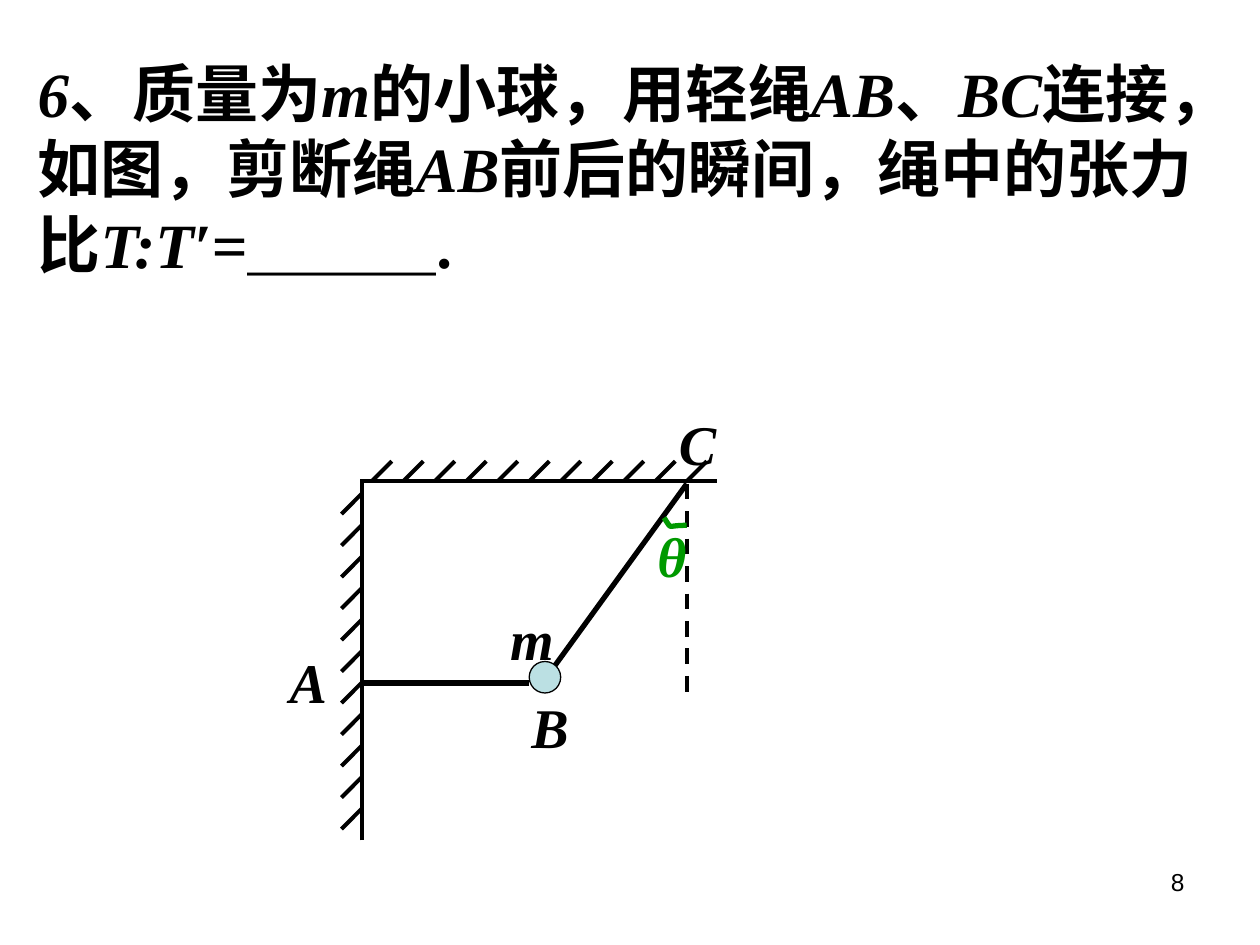
from lxml import etree
from pptx import Presentation
from pptx import util as u
from pptx.dml.color import RGBColor
from pptx.enum import dml, shapes, text
from pptx.oxml.ns import qn

BLACK = RGBColor(0x00, 0x00, 0x00)
GREEN = RGBColor(0x00, 0x99, 0x00)
BALL = RGBColor(0xBB, 0xE0, 0xE3)
LATIN, CJK = "Times New Roman", "Noto Sans CJK SC"

# Content: runs are (text, italic)
QUESTION = [
    ("6", True), ("、质量为", False), ("m", True), ("的小球，用轻绳", False),
    ("AB", True), ("、", False), ("BC", True), ("连接，如图，剪断绳", False),
    ("AB", True), ("前后的瞬间，绳中的张力比", False), ("T:T′=", True),
    ("＿＿＿.", False),
]
# Labels: text, left, top, width, colour
LABELS = [
    ("A", 2.2, 5.09, 0.67, BLACK),
    ("B", 4.12, 5.45, 0.67, BLACK),
    ("C", 5.29, 3.2, 0.67, BLACK),
    ("m", 3.95, 4.75, 0.58, BLACK),
    ("θ", 5.12, 4.09, 0.5, GREEN),
]
WALL_X, CEILING_Y = 2.87, 3.82
HATCHES, HATCH_GAP, HATCH_SIZE = 11, 0.25, 0.16
C_POINT = (5.45, 3.84)
# Main lines: start, end, width, dashed
LINES = [
    ((WALL_X, 6.67), (WALL_X, 3.83), 2.25, False),
    ((5.69, CEILING_Y), (2.86, CEILING_Y), 2.25, False),
    ((4.2, 5.42), (WALL_X, 5.42), 3, False),
    (C_POINT, (4.37, 5.33), 3, False),
    (C_POINT, (5.45, 5.5), 2.25, True),
]
ANGLE = [(5.27, 4.11), (5.34, 4.21), (5.28, 4.17), (5.45, 4.17)]


def inch(n):
    return u.Cm(n * 2.54)


def add_line(parent, start, end, width, dashed=False):
    sp = parent.add_connector(shapes.MSO_CONNECTOR.STRAIGHT,
                              *map(inch, start + end))
    sp.line.color.rgb = BLACK
    sp.line.width = u.Pt(width)
    if dashed:
        sp.line.dash_style = dml.MSO_LINE.DASH
    etree.SubElement(sp._element.spPr, qn("a:effectLst"))


def add_text(parent, box, runs, size, color, font=LATIN, bold=True):
    sp = parent.add_textbox(*map(inch, box))
    tf = sp.text_frame
    tf.word_wrap = True
    p = tf.paragraphs[0]
    for words, italic in runs:
        r = p.add_run()
        r.text = words
        f = r.font
        f.name, f.size, f.bold, f.italic = font, u.Pt(size), bold, italic
        f.color.rgb = color
        if not words.isascii():
            etree.SubElement(r._r.get_or_add_rPr(), qn("a:ea"), typeface=CJK)
    return tf


def bezier(points, t):
    weights = ((1 - t) ** 3, 3 * t * (1 - t) ** 2, 3 * t * t * (1 - t), t ** 3)
    return tuple(inch(sum(w * pt[i] for w, pt in zip(weights, points)))
                 for i in (0, 1))


prs = Presentation()
prs.slide_width, prs.slide_height = inch(10), inch(7.5)
s = prs.slides.add_slide(prs.slide_layouts[6])

# Question
tf = add_text(s.shapes, (0.2, 0.33, 9.53, 1.9), QUESTION, 36, BLACK)
tf.margin_top = inch(0.1)
tf.paragraphs[0].line_spacing = u.Pt(43.2)

# Wall and ceiling hatching
figure = s.shapes.add_group_shape().shapes
for i in range(HATCHES):
    y = 3.92 + i * HATCH_GAP
    add_line(figure, (WALL_X, y), (WALL_X - HATCH_SIZE, y + HATCH_SIZE), 2.25)
    x = 2.95 + i * HATCH_GAP
    add_line(figure, (x, CEILING_Y),
             (x + HATCH_SIZE, CEILING_Y - HATCH_SIZE), 2.25)

# Wall, ceiling, ropes and vertical
for line in LINES:
    add_line(figure, *line)

# Ball
ball = figure.add_shape(shapes.MSO_SHAPE.OVAL,
                        *map(inch, (4.2, 5.25, 0.25, 0.25)))
ball.shadow.inherit = False
ball.fill.solid()
ball.fill.fore_color.rgb = BALL
ball.line.color.rgb = BLACK
ball.line.width = u.Pt(0.75)

# Angle mark
curve = [bezier(ANGLE, i / 16) for i in range(17)]
fb = figure.build_freeform(*curve[0])
fb.add_line_segments(curve[1:], close=False)
arc = fb.convert_to_shape()
arc.shadow.inherit = False
arc.fill.background()
arc.line.color.rgb = GREEN
arc.line.width = u.Pt(3)

# Labels
for words, x, y, w, color in LABELS:
    add_text(figure, (x, y, w, 0.64), [(words, True)], 32, color)

# Page number
tf = add_text(s.shapes, (7.17, 6.83, 2.33, 0.52), [("8", False)], 14, BLACK,
              font="Arial", bold=False)
tf.paragraphs[0].alignment = text.PP_ALIGN.RIGHT

prs.save("out.pptx")
